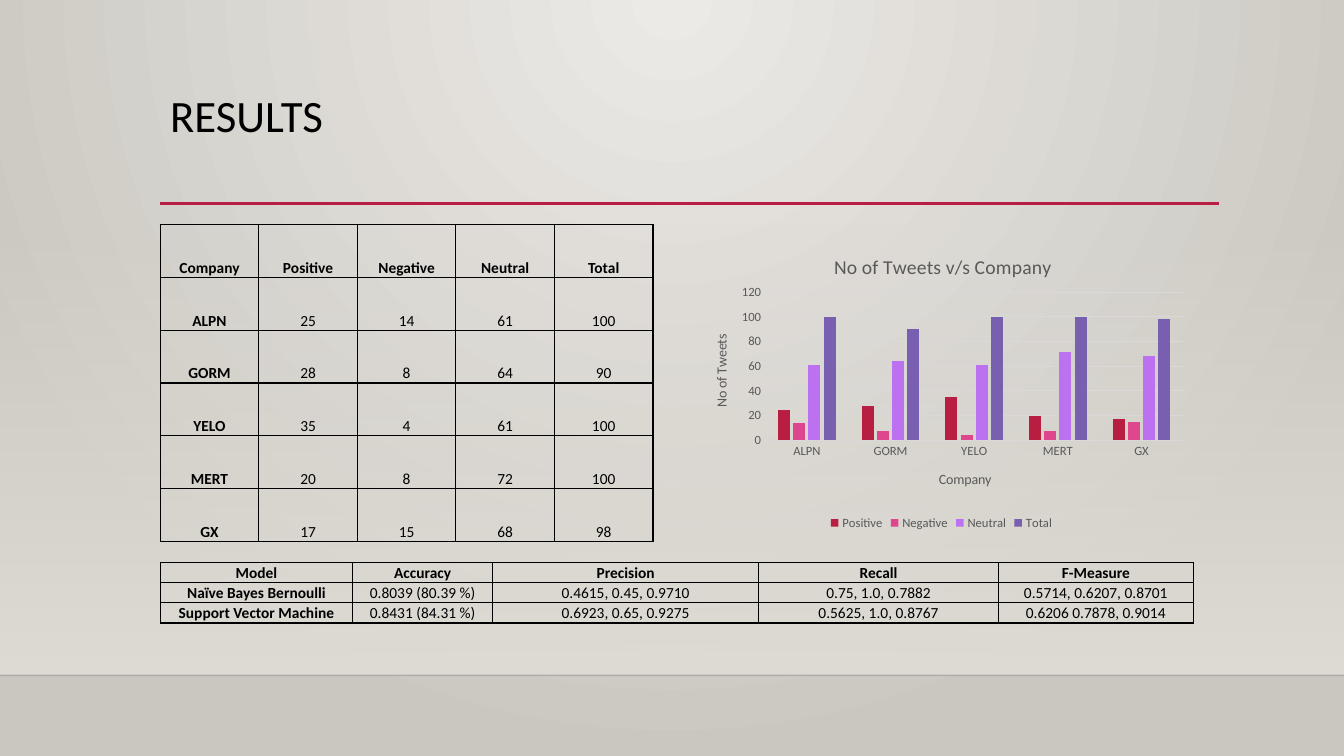
import pptx
import pptx.util
import pptx.chart.data
import pptx.dml.color
import pptx.enum.chart
import pptx.enum.shapes
import pptx.enum.text
import pptx.oxml
import pptx.oxml.ns

Pt = pptx.util.Pt
RGB = pptx.dml.color.RGBColor.from_string
qn = pptx.oxml.ns.qn
NS = pptx.oxml.ns.nsdecls("a", "c")


class Theme:
    font = "Calibri"
    ink, grey, rule = "000000", "595959", "D9D9D9"
    glow, edge, haze = "ECEAE7", "CAC7C1", "DFDBD5"
    red, floor = "B71E42", "000001"
    bars = ["B71E42", "DE478E", "BC72F0", "795FAF"]
    title, head, name, cell, tick = 32, 14, 10, 11, 9


def style(font, size, color, bold=False):
    for key, val in {"name": Theme.font, "size": Pt(size), "bold": bold}.items():
        setattr(font, key, val)
    font.color.rgb = RGB(color)


def grid(rows, left, top, widths, height, space):
    """Add a bordered table with a bold first row and first column."""
    frame = slide.shapes.add_table(len(rows), len(widths), Pt(left), Pt(top),
                                   Pt(sum(widths)), Pt(height * len(rows)))
    table = frame.table
    table.first_row = table.horz_banding = False
    for col, width in zip(table.columns, widths):
        col.width = Pt(width)
    look = {"margin_left": Pt(0.7), "margin_right": Pt(0.7), "margin_top": Pt(0.7),
            "margin_bottom": 0, "vertical_anchor": pptx.enum.text.MSO_ANCHOR.BOTTOM}
    for r, row in enumerate(rows):
        table.rows[r].height = Pt(height)
        for c, text in enumerate(row):
            cell = table.cell(r, c)
            for key, val in look.items():
                setattr(cell, key, val)
            cell.fill.background()
            para = cell.text_frame.paragraphs[0]
            para.alignment = pptx.enum.text.PP_ALIGN.CENTER
            para.line_spacing = space
            run = para.add_run()
            run.text = str(text)
            style(run.font, Theme.cell, Theme.ink, r == 0 or c == 0)
            props = cell._tc.get_or_add_tcPr()
            for spot, side in enumerate("LRTB"):
                props.insert(spot, pptx.oxml.parse_xml(
                    f'<a:ln{side} {NS} w="12700"><a:solidFill><a:srgbClr val="{Theme.ink}"/>'
                    f'</a:solidFill></a:ln{side}>'))


deck = pptx.Presentation()
deck.slide_width, deck.slide_height = Pt(960), Pt(540)
slide = deck.slides.add_slide(deck.slide_layouts[6])

# Background glow from the top centre
back = slide.background.fill
back.gradient()
for stop, color in zip(back.gradient_stops, (Theme.glow, Theme.edge)):
    stop.color.rgb = RGB(color)
lin = slide._element.find(".//" + qn("a:lin"))
lin.getparent().replace(lin, pptx.oxml.parse_xml(
    f'<a:path {NS} path="circle"><a:fillToRect l="43000" r="43000" b="100000"/></a:path>'))

# Haze that thickens towards the floor
haze = slide.shapes.add_shape(pptx.enum.shapes.MSO_SHAPE.RECTANGLE,
                              0, Pt(159), Pt(960), Pt(323.4))
haze.shadow.inherit = False
haze.line.fill.background()
haze.fill.gradient()
haze.fill.gradient_angle = 270
for stop in haze.fill.gradient_stops:
    stop.color.rgb = RGB(Theme.haze)
clear = pptx.oxml.parse_xml(f'<a:alpha {NS} val="0"/>')
haze._element.find(".//" + qn("a:srgbClr")).append(clear)

# Floor line and title rule
for left, right, y, color, width, alpha in [(0, 960, 482.4, Theme.floor, 1, 20),
                                            (114.5, 871, 145.4, Theme.red, 2.5, 100)]:
    line = slide.shapes.add_connector(pptx.enum.shapes.MSO_CONNECTOR.STRAIGHT,
                                      Pt(left), Pt(y), Pt(right), Pt(y))
    line.line.color.rgb = RGB(color)
    line.line.width = Pt(width)
    line._element.find(".//" + qn("a:srgbClr")).append(
        pptx.oxml.parse_xml(f'<a:alpha {NS} val="{alpha * 1000}"/>'))
    line._element.spPr.append(pptx.oxml.parse_xml(f"<a:effectLst {NS}/>"))

# Title
box = slide.shapes.add_textbox(Pt(114.5), Pt(63.4), Pt(756), Pt(82.8))
box.text_frame.word_wrap = True
para = box.text_frame.paragraphs[0]
para.line_spacing = 0.9
run = para.add_run()
run.text = "RESULTS"
style(run.font, Theme.title, Theme.ink)

# Tweet counts, shared by the table and the chart
heads = ["Positive", "Negative", "Neutral", "Total"]
tweets = {"ALPN": [25, 14, 61, 100], "GORM": [28, 8, 64, 90], "YELO": [35, 4, 61, 100],
          "MERT": [20, 8, 72, 100], "GX": [17, 15, 68, 98]}
grid([["Company"] + heads] + [[firm] + nums for firm, nums in tweets.items()],
     114.5, 160.6, [70.4] * 5, 37.7, 1.5)

# Model scores
grid([["Model", "Accuracy", "Precision", "Recall", "F-Measure"],
      ["Naïve Bayes Bernoulli", "0.8039 (80.39 %)", "0.4615, 0.45, 0.9710",
       "0.75, 1.0, 0.7882", "0.5714, 0.6207, 0.8701"],
      ["Support Vector Machine", "0.8431 (84.31 %)", "0.6923, 0.65, 0.9275",
       "0.5625, 1.0, 0.8767", "0.6206 0.7878, 0.9014"]],
     114.5, 401.8, [137.5, 100, 190, 171.4, 139], 14.4, 1)

# Chart of tweets by company
data = pptx.chart.data.CategoryChartData()
data.categories = list(tweets)
for head, nums in zip(heads, zip(*tweets.values())):
    data.add_series(head, nums)
chart = slide.shapes.add_chart(pptx.enum.chart.XL_CHART_TYPE.COLUMN_CLUSTERED, Pt(492.5),
                               Pt(165.6), Pt(360), Pt(216), data).chart
style(chart.font, Theme.name, Theme.ink)
plot = chart.plots[0]
for key, val in {"gap_width": 219, "overlap": -27, "vary_by_categories": False}.items():
    setattr(plot, key, val)
for bar, color in zip(plot.series, Theme.bars):
    bar.format.fill.solid()
    bar.format.fill.fore_color.rgb = RGB(color)

cat, val = chart.category_axis, chart.value_axis
for key, num in {"minimum_scale": 0, "maximum_scale": 120, "major_unit": 20}.items():
    setattr(val, key, num)
for axis in (cat, val):
    axis.major_tick_mark = axis.minor_tick_mark = pptx.enum.chart.XL_TICK_MARK.NONE
    style(axis.tick_labels.font, Theme.tick, Theme.grey)
val.format.line.fill.background()
for edge in (cat.format.line, val.major_gridlines.format.line):
    edge.color.rgb = RGB(Theme.rule)
    edge.width = Pt(0.75)

# Chart and axis titles, each at a share of the chart's size
for part, text, size, x, y in [(chart, "No of Tweets v/s Company", Theme.head, 0.28, 0.06),
                               (cat, "Company", Theme.name, 0.49, 0.78),
                               (val, "No of Tweets", Theme.name, 0.04, 0.33)]:
    title = part.chart_title if part is chart else part.axis_title
    run = title.text_frame.paragraphs[0].add_run()
    run.text = text
    style(run.font, size, Theme.grey)
    node = title._element
    for old in node.findall(qn("c:layout")):
        node.remove(old)
    node.find(qn("c:tx")).addnext(pptx.oxml.parse_xml(
        f'<c:layout {NS}><c:manualLayout><c:xMode val="edge"/><c:yMode val="edge"/>'
        f'<c:x val="{x}"/><c:y val="{y}"/></c:manualLayout></c:layout>'))

chart.has_legend = True
chart.legend.position = pptx.enum.chart.XL_LEGEND_POSITION.BOTTOM
chart.legend.include_in_layout = False
style(chart.legend.font, Theme.tick, Theme.grey)

# Plot area
area = chart._chartSpace.find(".//" + qn("c:plotArea"))
for old in area.findall(qn("c:layout")):
    area.remove(old)
area.insert(0, pptx.oxml.parse_xml(
    f'<c:layout {NS}><c:manualLayout><c:layoutTarget val="inner"/><c:xMode val="edge"/>'
    '<c:yMode val="edge"/><c:x val="0.15"/><c:y val="0.2"/><c:w val="0.83"/>'
    '<c:h val="0.49"/></c:manualLayout></c:layout>'))

deck.save("out.pptx")
